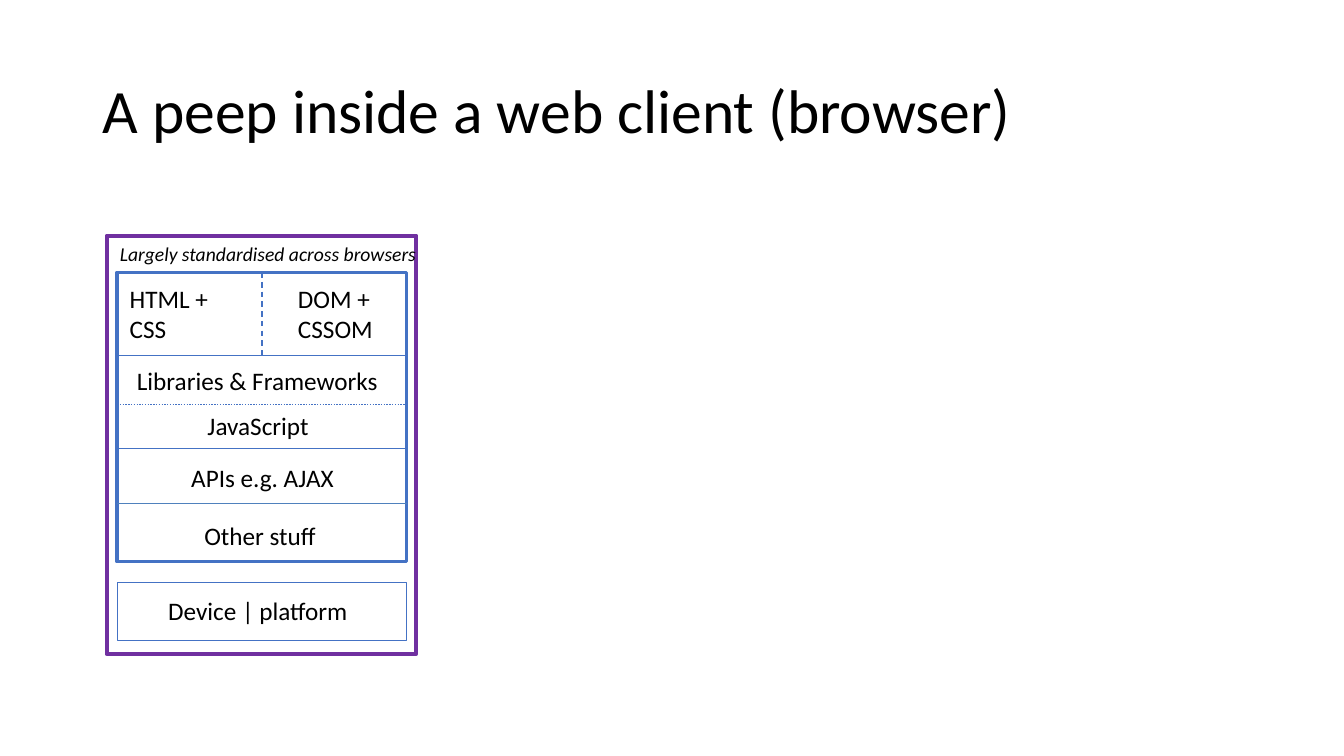
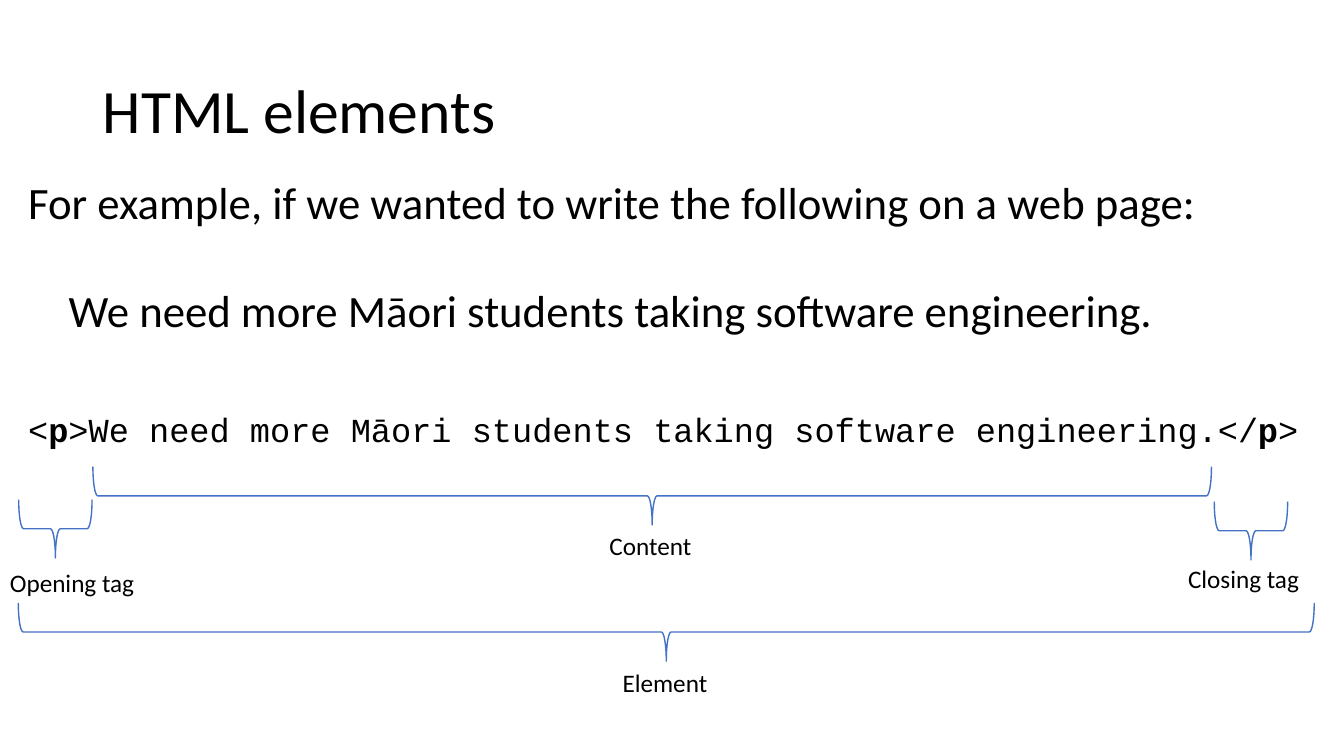
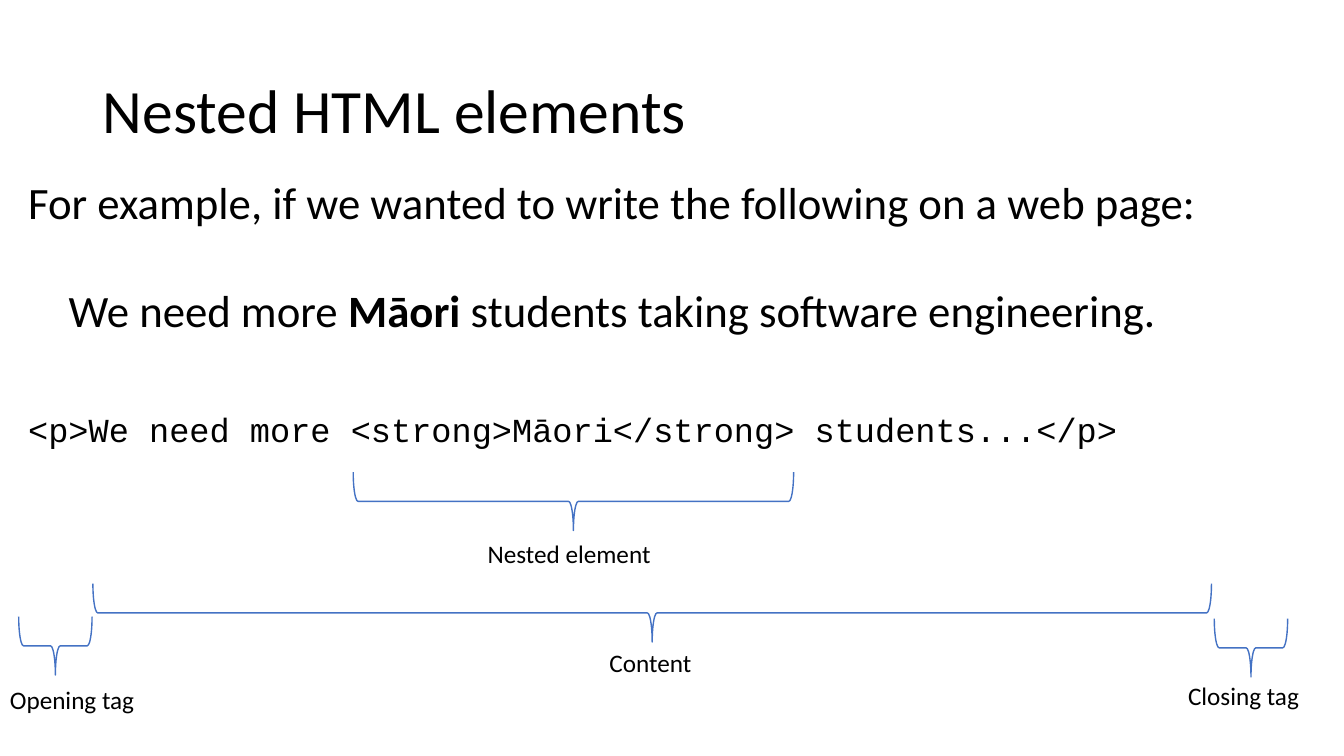
from dataclasses import dataclass

from pptx import Presentation
from pptx import util as u
from pptx.dml.color import RGBColor
from pptx.enum import dml, shapes, text
from pptx.oxml.ns import qn


@dataclass(frozen=True)
class Theme:
    ink: str = "000000"
    blue: str = "4472C4"
    soft_blue: str = "4F81BD"
    purple: str = "7030A0"
    body_font: str = "Calibri"
    code_font: str = "Courier New"
    title: int = 44
    body: int = 32
    code: int = 24
    label: int = 18
    note: int = 14
    hairline: float = 0.25


class Deck:
    """Holds the style and the current slide."""

    def __init__(self, theme):
        self.theme = theme
        self.prs = Presentation()
        self.prs.slide_width = u.Cm(33.87)
        self.prs.slide_height = u.Cm(19.05)

    def new_slide(self, title):
        self.slide = self.prs.slides.add_slide(self.prs.slide_layouts[6])
        frame = self.box(2.34, 1.02, 29.21, 3.68)
        frame.vertical_anchor = text.MSO_ANCHOR.MIDDLE
        frame.paragraphs[0].line_spacing = 0.9
        self.runs(frame.paragraphs[0], [(title, False)], self.theme.title)

    def box(self, left, top, width, height, wrap=True, grow=False):
        frame = self.slide.shapes.add_textbox(
            u.Cm(left), u.Cm(top), u.Cm(width), u.Cm(height)).text_frame
        frame.word_wrap = wrap
        if grow:
            frame.auto_size = text.MSO_AUTO_SIZE.SHAPE_TO_FIT_TEXT
        return frame

    def runs(self, paragraph, pieces, size, font=None, italic=False):
        for words, bold in pieces:
            run = paragraph.add_run()
            run.text = words
            run.font.name = font or self.theme.body_font
            run.font.size = u.Pt(size)
            run.font.bold = bold
            run.font.italic = italic
            run.font.color.rgb = RGBColor.from_string(self.theme.ink)

    def label(self, words, left, top, width, height=1.02, size=None,
              italic=False, wrap=False):
        frame = self.box(left, top, width, height, wrap, grow=True)
        self.runs(frame.paragraphs[0], [(words, False)],
                  size or self.theme.label, italic=italic)

    def outline(self, kind, left, top, width, height, weight, color=None):
        shape = self.slide.shapes.add_shape(
            kind, u.Cm(left), u.Cm(top), u.Cm(width), u.Cm(height))
        shape.shadow.inherit = False
        shape.fill.background()
        self.stroke(shape.line, weight, color)
        return shape

    def frame(self, left, top, width, height, weight, color=None):
        return self.outline(shapes.MSO_SHAPE.RECTANGLE, left, top, width,
                            height, weight, color)

    def brace(self, left, top, width, depth=1.47):
        """Brace opening upwards; the arguments are its bounds as seen."""
        turn = (width - depth) / 2
        shape = self.outline(shapes.MSO_SHAPE.RIGHT_BRACE, left + turn,
                             top - turn, depth, width, 1)
        shape.rotation = 90

    def line(self, x1, y1, x2, y2, weight, color=None, dash=None):
        line = self.slide.shapes.add_connector(
            shapes.MSO_CONNECTOR.STRAIGHT,
            u.Cm(x1), u.Cm(y1), u.Cm(x2), u.Cm(y2))
        properties = line._element.spPr
        self.stroke(line.line, weight, color, dash)
        properties.append(properties.makeelement(qn("a:effectLst"), {}))
        return line

    def stroke(self, line, weight, color=None, dash=None):
        line.color.rgb = RGBColor.from_string(color or self.theme.blue)
        line.width = u.Pt(weight)
        if dash is not None:
            line.dash_style = dash

    def example(self, sentence, code):
        """Introduction, the sentence wanted and its markup."""
        theme = self.theme
        frame = self.box(0.46, 4.27, 32, 4.37, grow=True)
        self.runs(frame.paragraphs[0], [
            ("For example, if we wanted to write the following on a web page:",
             False)], theme.body)
        wanted = frame.add_paragraph()
        wanted._p.get_or_add_pPr().set("marL", str(u.Cm(1.02)))
        wanted.space_before = u.Pt(39)
        self.runs(wanted, sentence, theme.body)
        markup = self.box(0.46, 10.19, 32.66, 1.27, grow=True)
        self.runs(markup.paragraphs[0], code, theme.code, theme.code_font)

    def element_parts(self, drop=0):
        """Braces for content and tags, lowered by drop."""
        for words, brace_at, label_at in (
                ("Content", (2.34, 11.76, 28.19), (15.11, 13.23, 2.62)),
                ("Opening tag", (0.47, 12.59, 1.85), (0, 14.17, 3.68)),
                ("Closing tag", (30.6, 12.64, 1.85), (29.69, 14.07, 3.35))):
            self.marked(words, brace_at, label_at, drop)

    def marked(self, words, brace_at, label_at, drop=0):
        left, top, width = brace_at
        self.brace(left, top + drop, width)
        left, top, width = label_at
        self.label(words, left, top + drop, width)


def browser_slide(deck):
    theme = deck.theme
    deck.new_slide("A peep inside a web client (browser)")
    left, top, side = 2.95, 6.86, 7.3
    right, middle = left + side, left + side / 2

    # Frames
    deck.frame(2.69, 5.94, 7.8, 10.54, 3, theme.purple)
    stack = deck.frame(left, top, side, side, 2.25)
    deck.frame(left, 14.68, side, 1.45, 0.5)

    # Dividers
    markup_bottom = 8.94
    for y, weight, color, dash in (
            (markup_bottom, theme.hairline, theme.blue, None),
            (10.19, 1, theme.blue, dml.MSO_LINE.ROUND_DOT),
            (11.3, theme.hairline, theme.blue, None),
            (12.67, theme.hairline, theme.soft_blue, None)):
        deck.line(left, y, right, y, weight, color, dash)
    split = deck.line(middle, top, middle, markup_bottom, 1,
                      dash=dml.MSO_LINE.DASH)
    split.begin_connect(stack, 0)

    # Layer names
    deck.label("Largely standardised across browsers", 2.77, 5.97, 8.18, 0.86,
               size=theme.note, italic=True)
    for words, x, width in (("HTML + CSS", 3.02, 2.67),
                            ("DOM + CSSOM", 7.26, 2.82)):
        deck.label(words, x, 7.01, width, 1.8, wrap=True)
    for words, x, y, width in (
            ("Libraries & Frameworks", 3.2, 9.07, 6.68),
            ("JavaScript", 4.98, 10.21, 3.18),
            ("APIs e.g. AJAX", 4.57, 11.53, 4.14),
            ("Other stuff", 4.9, 12.98, 3.35),
            ("Device | platform", 3.99, 14.88, 5.1)):
        deck.label(words, x, y, width)


def elements_slide(deck):
    deck.new_slide("HTML elements")
    sentence = "We need more Māori students taking software engineering."
    deck.example([(sentence, False)],
                 [("<", False), ("p", True), (f">{sentence}</", False),
                  ("p", True), (">", False)])
    deck.element_parts()
    deck.marked("Element", (0.46, 15.19, 32.66), (15.44, 16.69, 2.69))


def nested_slide(deck):
    deck.new_slide("Nested HTML elements")
    deck.example([("We need more ", False), ("Māori", True),
                  (" students taking software engineering.", False)],
                 [("<p>We need more <strong>Māori</strong> students...</p>",
                   False)])
    deck.marked("Nested element", (8.9, 11.9, 11.1), (12.04, 13.44, 4.67))
    deck.element_parts(drop=2.95)


def main():
    deck = Deck(Theme())
    browser_slide(deck)
    elements_slide(deck)
    nested_slide(deck)
    deck.prs.save("out.pptx")


if __name__ == "__main__":
    main()
